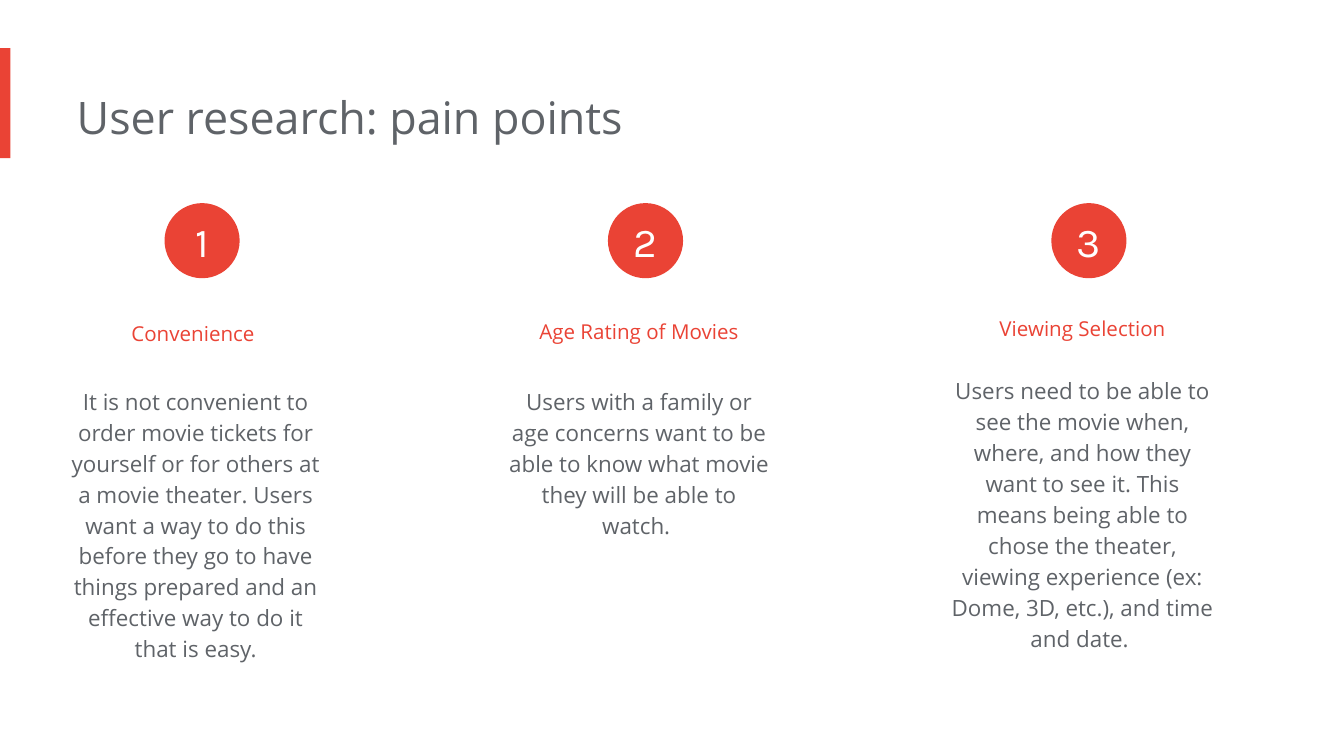
from dataclasses import dataclass

from pptx import Presentation
from pptx.dml.color import RGBColor
from pptx.enum.shapes import MSO_SHAPE as SHAPE
from pptx.enum.text import MSO_ANCHOR as ANCHOR, PP_ALIGN as ALIGN
from pptx.util import Cm, Pt


@dataclass(frozen=True)
class Theme:
    """Colours, fonts and type sizes of the deck."""
    accent: str = "EA4335"
    ink: str = "5F6368"
    white: str = "FFFFFF"
    text_font: str = "Open Sans"
    number_font: str = "Karla"
    title: int = 24
    heading: int = 11
    body: int = 12
    number: int = 22


THEME = Theme()
PITCH = 8.38
PAIN_POINTS = [
    ("Convenience ", 5.59, 7.01, 5.82,
     "It is not convenient to order movie tickets for yourself or for others "
     "at a movie theater. Users want a way to do this before they go to have "
     "things prepared and an effective way to do it that is easy."),
    ("Age Rating of Movies", 5.54, 7.01, 3.45,
     "Users with a family or age concerns want to be able to know what movie "
     "they will be able to watch. "),
    ("Viewing Selection", 5.49, 6.81, 5.82,
     "Users need to be able to see the movie when, where, and how they want "
     "to see it. This means being able to chose the theater, viewing "
     "experience (ex: Dome, 3D, etc.), and time and date. "),
]


def write(sp, text, size, color, font, margins, align=ALIGN.CENTER, spacing=None):
    """Fill a shape with one styled paragraph."""
    tf = sp.text_frame
    tf.word_wrap = True
    tf.margin_left, tf.margin_top, tf.margin_right, tf.margin_bottom = map(Cm, margins)
    p = tf.paragraphs[0]
    p.text = text
    p.alignment = align
    p.line_spacing = spacing
    p.font.size = Pt(size)
    p.font.name = font
    p.font.color.rgb = RGBColor.from_string(color)


def add_text(slide, box, text, size, color, align=ALIGN.CENTER, spacing=None):
    """Add a text box that is flush on its left side."""
    sp = slide.shapes.add_textbox(*map(Cm, box))
    write(sp, text, size, color, THEME.text_font, (0, 0.25, 0.25, 0.25), align, spacing)


def add_accent(slide, kind, box):
    """Add a plain shape in the accent colour."""
    sp = slide.shapes.add_shape(kind, *map(Cm, box))
    sp.shadow.inherit = False
    sp.fill.solid()
    sp.fill.fore_color.rgb = RGBColor.from_string(THEME.accent)
    sp.line.fill.background()
    return sp


def add_header(slide, left, top, width, height):
    """Place the edge bar and the slide title."""
    add_accent(slide, SHAPE.RECTANGLE, (left, top, 0.2, height))
    add_text(slide, (left + 1.45, top + 0.54, width - 1.45, 1.55),
             "User research: pain points", THEME.title, THEME.ink, ALIGN.LEFT)


def add_pain_point(slide, left, top, width, number, point):
    """Place a numbered disc with its heading and description."""
    heading, heading_top, body_top, body_height, body = point
    add_text(slide, (left, heading_top, width, 1.22), heading,
             THEME.heading, THEME.accent, spacing=1.5)
    add_text(slide, (left, body_top, width, body_height), body,
             THEME.body, THEME.ink, spacing=1.15)
    disc = add_accent(slide, SHAPE.OVAL, (left + 1.89, top, 1.42, 1.42))
    write(disc, str(number), THEME.number, THEME.white, THEME.number_font, (0, 0, 0, 0))
    disc.text_frame.vertical_anchor = ANCHOR.MIDDLE


def main():
    """Build and save the slide."""
    prs = Presentation()
    prs.slide_width, prs.slide_height = Cm(25.4), Cm(14.29)
    slide = prs.slides.add_slide(prs.slide_layouts[6])
    add_header(slide, 0, 0.91, 18.54, 2.08)
    for i, point in enumerate(PAIN_POINTS):
        add_pain_point(slide, 1.22 + i * PITCH, 3.84, 5.21, i + 1, point)
    prs.save("out.pptx")


if __name__ == "__main__":
    main()
